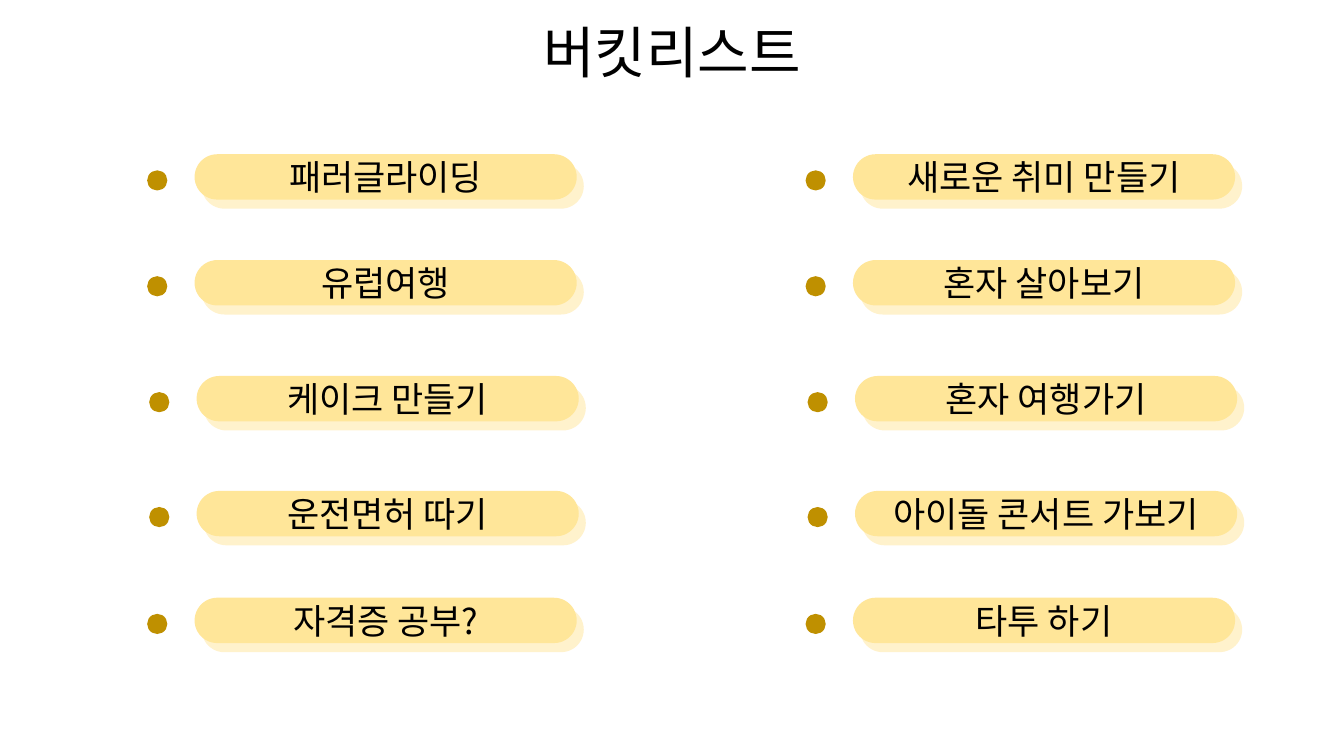
from dataclasses import dataclass

from lxml.etree import SubElement
from pptx import Presentation
from pptx.dml.color import RGBColor
from pptx.enum.shapes import MSO_SHAPE
from pptx.enum.text import MSO_ANCHOR, PP_ALIGN
from pptx.oxml.ns import qn
from pptx.util import Inches, Pt


@dataclass(frozen=True)
class Theme:
    font: str = "Noto Sans CJK KR"
    text: str = "000000"
    pill: str = "FFE699"
    under_pill: str = "FFF2CC"
    dot: str = "BF9000"
    title_size: int = 40
    item_size: int = 25


theme = Theme()


def add_filled(kind, left, top, width, height, color):
    s = slide.shapes.add_shape(
        kind, Inches(left), Inches(top), Inches(width), Inches(height))
    s.shadow.inherit = False
    s.fill.solid()
    s.fill.fore_color.rgb = RGBColor.from_string(color)
    s.line.fill.background()
    if kind == MSO_SHAPE.ROUNDED_RECTANGLE:
        s.adjustments[0] = 0.5
    return s


def set_centered_text(s, text, size):
    tf = s.text_frame
    tf.text = text
    tf.word_wrap = True
    tf.vertical_anchor = MSO_ANCHOR.MIDDLE
    p = tf.paragraphs[0]
    p.alignment = PP_ALIGN.CENTER
    r = p.runs[0]
    r.font.size = Pt(size)
    r.font.name = theme.font
    r.font.color.rgb = RGBColor.from_string(theme.text)
    # Hangul takes the East Asian typeface
    SubElement(r.font._element, qn("a:ea"), typeface=theme.font)
    return p


prs = Presentation()
prs.slide_width = Inches(13.33)
prs.slide_height = Inches(7.5)
slide = prs.slides.add_slide(prs.slide_layouts[6])

title = slide.shapes.add_textbox(0, 0, prs.slide_width, Inches(1.09))
p = set_centered_text(title, "버킷리스트", theme.title_size)
p.line_spacing = 0.9

columns = [
    (1.93, ["패러글라이딩", "유럽여행", "케이크 만들기", "운전면허 따기", "자격증 공부?"]),
    (8.46, ["새로운 취미 만들기", "혼자 살아보기", "혼자 여행가기",
            "아이돌 콘서트 가보기", "타투 하기"]),
]
# Top of each row and its small shift to the right
rows = [(1.53, 0), (2.58, 0), (3.73, 0.02), (4.87, 0.02), (5.93, 0)]
PILL_W, PILL_H, DOT = 3.79, 0.45, 0.2

for column_left, wishes in columns:
    for wish, (top, shift) in zip(wishes, rows):
        left = column_left + shift
        add_filled(MSO_SHAPE.ROUNDED_RECTANGLE, left + 0.07, top + 0.09,
                   PILL_W, PILL_H, theme.under_pill)
        pill = add_filled(MSO_SHAPE.ROUNDED_RECTANGLE, left, top,
                          PILL_W, PILL_H, theme.pill)
        set_centered_text(pill, wish, theme.item_size)
        add_filled(MSO_SHAPE.OVAL, left - 0.47, top + 0.16, DOT, DOT, theme.dot)

prs.save("out.pptx")
